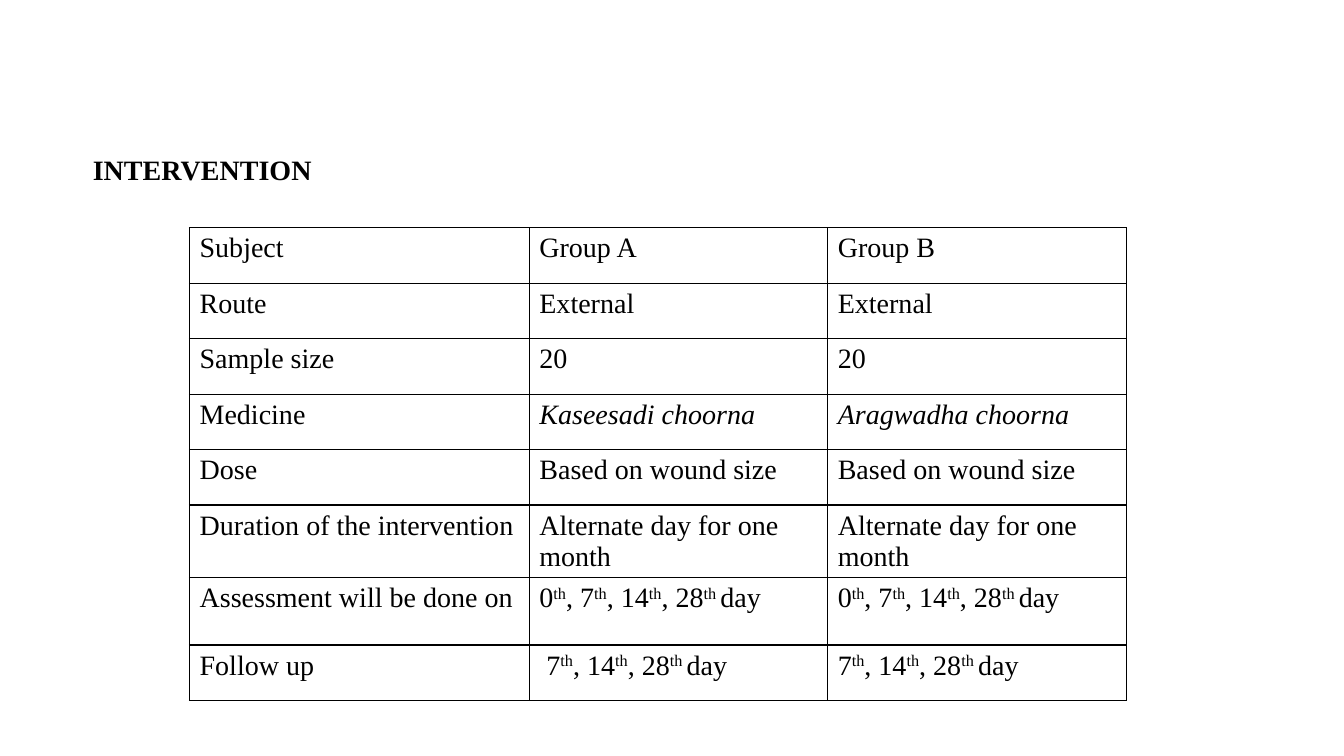
import pptx
import pptx.dml.color
import pptx.enum.text
import pptx.oxml
import pptx.oxml.ns
import pptx.util

GRID = 0.1  # inches in one grid column or row
BORDER_XML = (
    '<a:{side} {ns} w="12700"><a:solidFill><a:srgbClr val="{color}"/></a:solidFill></a:{side}>'
)


def rgb(color):
    return pptx.dml.color.RGBColor.from_string(color)


def grid(count):
    return pptx.util.Inches(count * GRID)


def set_values(target, values):
    for name, value in values.items():
        setattr(target, name, value)


def day_list(*days):
    """Join days as ordinals; carets enclose the raised parts."""
    return ", ".join(f"{day}^th^" for day in days)[:-1] + " ^day"


class Page:
    """One slide together with its text and border style."""

    ink = "000000"
    text_format = {"name": "Times New Roman", "size": pptx.util.Pt(20)}

    def __init__(self, deck):
        self.slide = deck.slides.add_slide(deck.slide_layouts[5])

    def add_text(self, para, text, **extra):
        """Add text to a paragraph, raising the parts between carets."""
        for index, part in enumerate(text.split("^")):
            span = para.add_run()
            span.text = part
            set_values(span.font, {"bold": False, **self.text_format, **extra})
            span.font.color.rgb = rgb(self.ink)
            if index % 2:
                span._r.get_or_add_rPr().set("baseline", "30000")

    def title(self, text, left, top, width, height):
        box = self.slide.shapes.title
        places = {"left": left, "top": top, "width": width, "height": height}
        set_values(box, {name: grid(count) for name, count in places.items()})
        set_values(box.text_frame, {
            "word_wrap": True,
            "auto_size": pptx.enum.text.MSO_AUTO_SIZE.NONE,
            "vertical_anchor": pptx.enum.text.MSO_ANCHOR.MIDDLE,
        })
        para = box.text_frame.paragraphs[0]
        para.alignment = pptx.enum.text.PP_ALIGN.LEFT
        self.add_text(para, text, bold=True)

    def border(self, cell):
        properties = cell._tc.get_or_add_tcPr()
        for side in ("lnL", "lnR", "lnT", "lnB"):
            line = BORDER_XML.format(side=side, ns=pptx.oxml.ns.nsdecls("a"), color=self.ink)
            properties.append(pptx.oxml.parse_xml(line))

    def table(self, rows, left, top, widths, heights, italic_cells):
        frame = self.slide.shapes.add_table(
            len(rows), len(widths), grid(left), grid(top),
            grid(sum(widths)), grid(sum(heights)))
        table = frame.table
        set_values(table, {"first_row": False, "horz_banding": False})
        for column, width in zip(table.columns, widths):
            column.width = grid(width)
        for row, height in zip(table.rows, heights):
            row.height = grid(height)
        for row, texts in zip(table.rows, rows):
            for cell, text in zip(row.cells, texts):
                self.border(cell)
                cell.fill.background()
                self.add_text(cell.text_frame.paragraphs[0], text, italic=text in italic_cells)


def main():
    deck = pptx.Presentation()
    set_values(deck, {"slide_width": pptx.util.Inches(13.33),
                      "slide_height": pptx.util.Inches(7.5)})
    page = Page(deck)
    page.title("INTERVENTION", left=8.2, top=14.3, width=115, height=5)

    medicines = ("Kaseesadi choorna", "Aragwadha choorna")
    assessment = day_list(0, 7, 14, 28)
    follow_up = day_list(7, 14, 28)
    rows = [
        ("Subject", "Group A", "Group B"),
        ("Route", "External", "External"),
        ("Sample size", "20", "20"),
        ("Medicine", *medicines),
        ("Dose", "Based on wound size", "Based on wound size"),
        ("Duration of the intervention", "Alternate day for one month",
         "Alternate day for one month"),
        ("Assessment will be done on", assessment, assessment),
        ("Follow up", " " + follow_up, follow_up),
    ]
    page.table(rows, left=18.8, top=22.6, widths=[33.7, 29.6, 29.6],
               heights=[5.5] * 5 + [7.2, 6.7, 5.5], italic_cells=medicines)
    deck.save("out.pptx")


if __name__ == "__main__":
    main()
